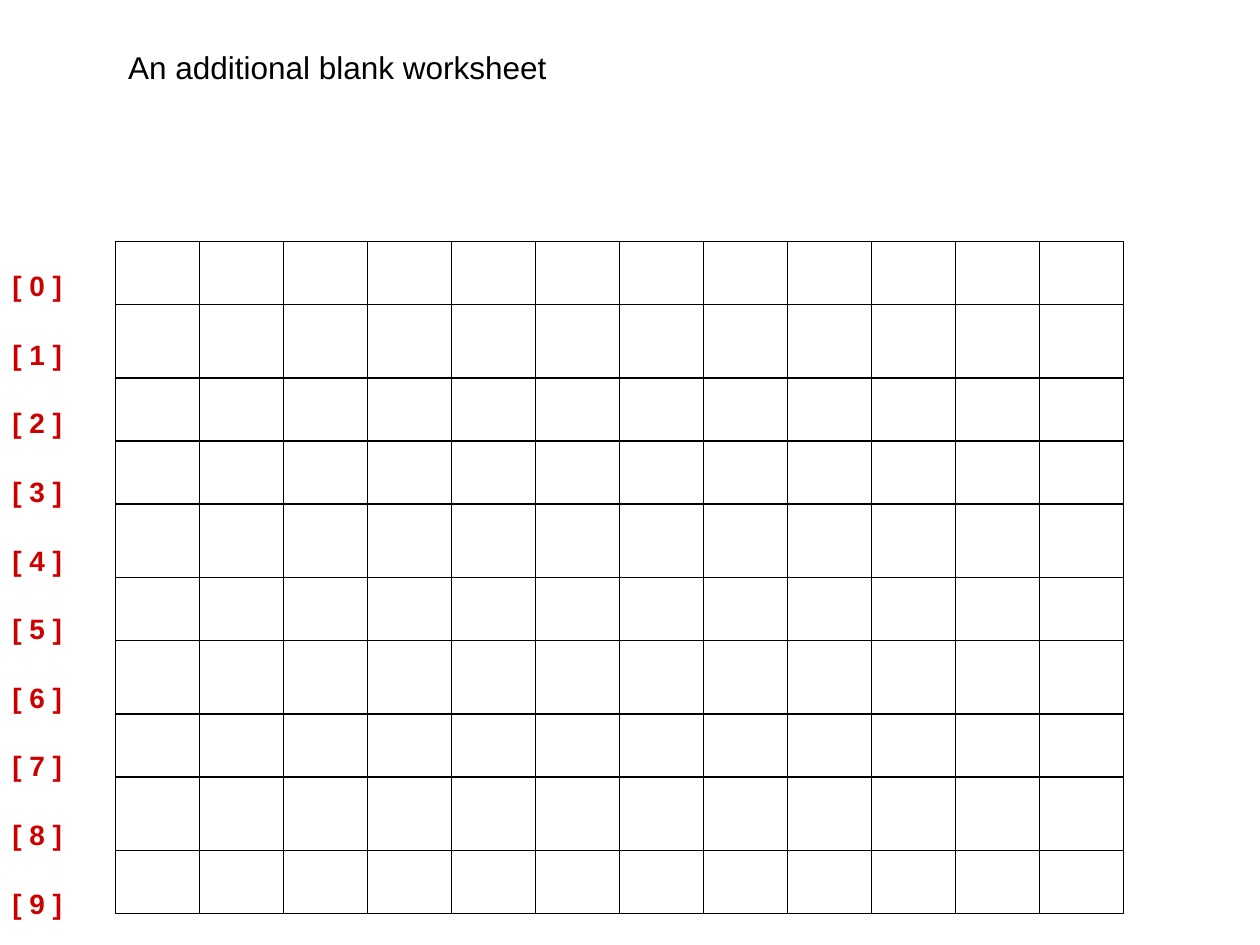
import itertools

import pptx
import pptx.enum.shapes
import pptx.enum.text
import pptx.oxml.ns
import pptx.util
from lxml import etree
from pptx.dml.color import RGBColor

Pt = pptx.util.Pt
BLACK = RGBColor(0x00, 0x00, 0x00)
RED = RGBColor(0xCC, 0x00, 0x00)

COLUMNS = 12
ROW_HEIGHTS = [36, 42, 36, 36, 42, 36, 42, 36, 42, 36]


def set_font(p, **values):
    for name, value in values.items():
        if name == "color":
            p.font.color.rgb = value
        else:
            setattr(p.font, name, value)


def set_frame(tf, wrap):
    values = {
        "word_wrap": wrap,
        "auto_size": pptx.enum.text.MSO_AUTO_SIZE.NONE,
        "vertical_anchor": pptx.enum.text.MSO_ANCHOR.TOP,
        "margin_left": Pt(7.2), "margin_right": Pt(7.2),
        "margin_top": Pt(3.6), "margin_bottom": Pt(3.6),
    }
    for name, value in values.items():
        setattr(tf, name, value)


def set_line(sp):
    sp.line.color.rgb = BLACK
    sp.line.width = Pt(1)


def add_title(s, x, y, w, h):
    sp = s.shapes.title
    sp.left, sp.top, sp.width, sp.height = Pt(x), Pt(y), Pt(w), Pt(h)
    set_frame(sp.text_frame, True)
    p = sp.text_frame.paragraphs[0]
    p.text = "An additional blank worksheet"
    p.alignment = pptx.enum.text.PP_ALIGN.LEFT
    set_font(p, name="Arial", size=Pt(18), bold=False, color=BLACK)


def add_row_labels(s, x, y, w, h):
    tf = s.shapes.add_textbox(Pt(x), Pt(y), Pt(w), Pt(h)).text_frame
    set_frame(tf, False)
    for row in range(len(ROW_HEIGHTS)):
        p = tf.add_paragraph() if row else tf.paragraphs[0]
        p.text = f"[ {row} ]"
        if row:
            p.space_before = Pt(20)
        set_font(p, name="Arial", size=Pt(16), bold=True, color=RED)


def add_column(s, x, y, w, h):
    shapes = s.shapes.add_group_shape().shapes
    # Outline
    sp = shapes.add_shape(pptx.enum.shapes.MSO_SHAPE.RECTANGLE,
                          Pt(x), Pt(y), Pt(w), Pt(h))
    sp.shadow.inherit = False
    sp.fill.background()
    set_line(sp)
    # Row dividers
    for offset in itertools.accumulate(ROW_HEIGHTS[:-1]):
        line = shapes.add_connector(
            pptx.enum.shapes.MSO_CONNECTOR.STRAIGHT,
            Pt(x), Pt(y + offset), Pt(x + w), Pt(y + offset))
        set_line(line)
        etree.SubElement(line._element.spPr, pptx.oxml.ns.qn("a:effectLst"))


def add_grid(s, x, y, w, h):
    column_width = w / COLUMNS
    for i in range(COLUMNS):
        add_column(s, x + i * column_width, y, column_width, h)


def main():
    prs = pptx.Presentation()
    prs.slide_width, prs.slide_height = Pt(720), Pt(540)
    s = prs.slides.add_slide(prs.slide_layouts[5])
    add_title(s, 66, 24, 589, 29)
    add_grid(s, 66, 138, 576, sum(ROW_HEIGHTS))
    add_row_labels(s, 0, 150, 43, 372)
    prs.save("out.pptx")


if __name__ == "__main__":
    main()
